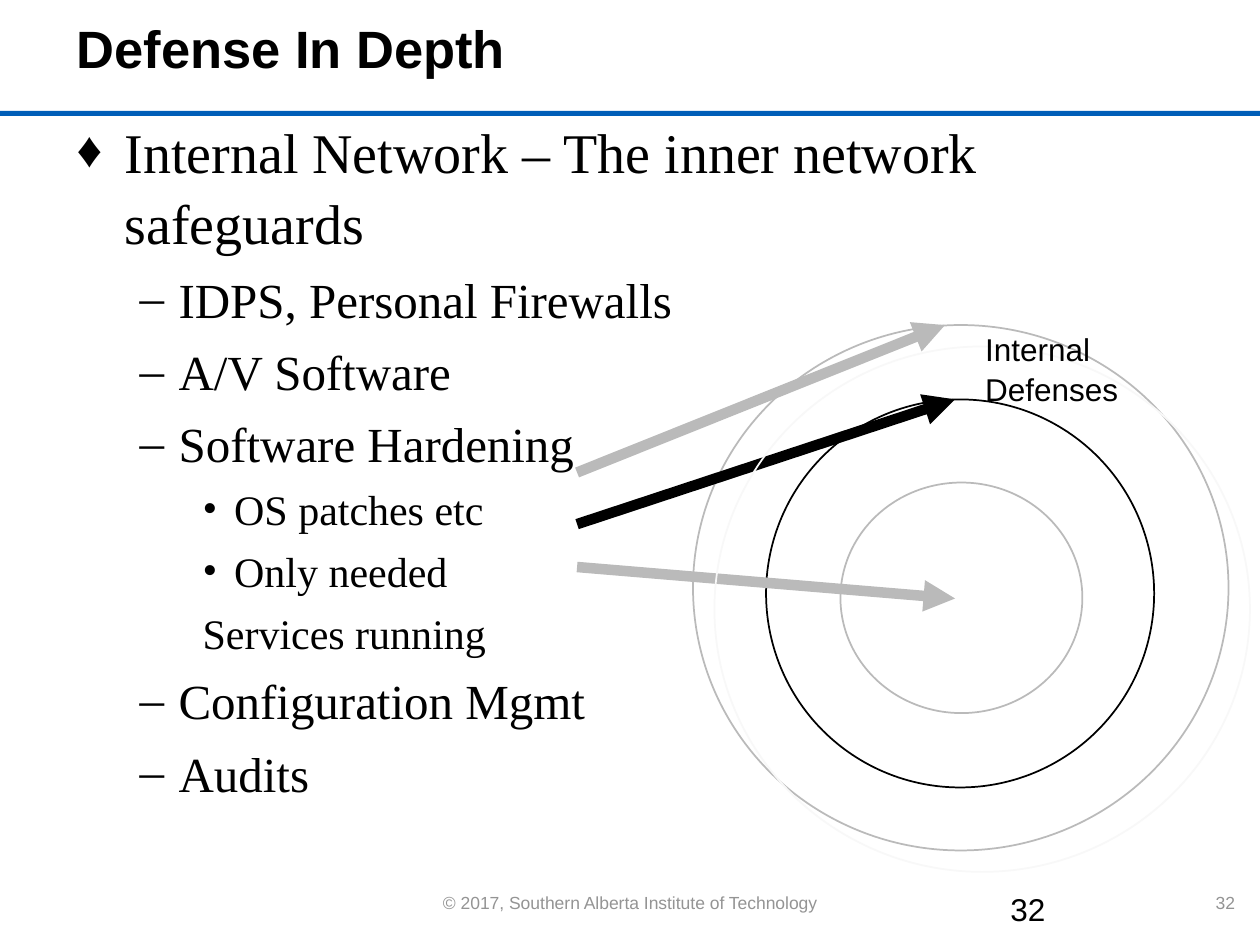
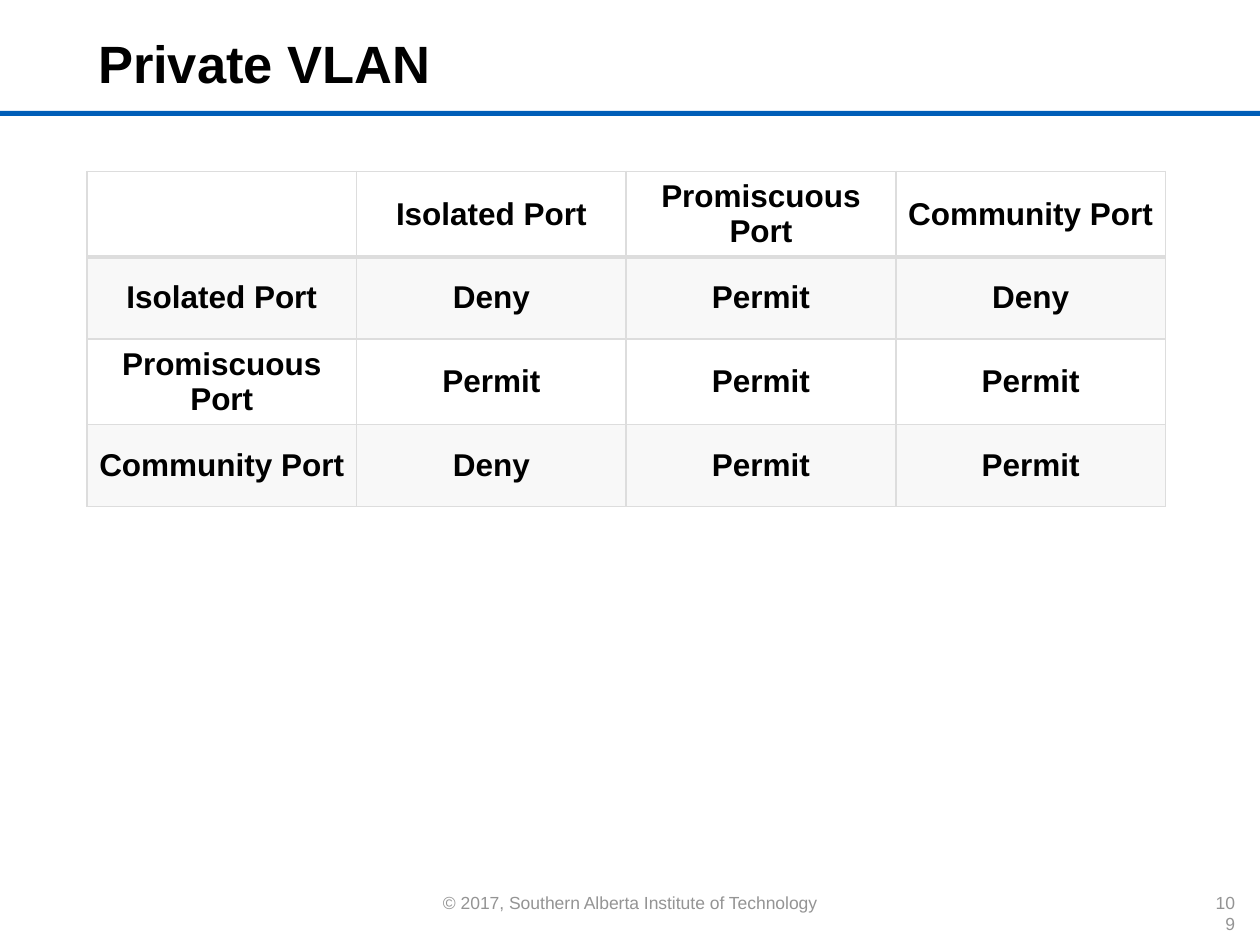
from dataclasses import dataclass

from lxml import etree
from pptx import Presentation
from pptx.dml.color import RGBColor
from pptx.enum import shapes, text
from pptx.oxml import ns
from pptx.util import Inches, Pt


@dataclass(frozen=True)
class Theme:
    sans: str = "Arial"
    serif: str = "Times New Roman"
    ink: str = "000000"
    band: str = "005EB8"
    footer: str = "949494"
    muted: str = "BABABA"
    faint: str = "F8F8F8"
    grid: str = "DDDDDD"
    title_size: int = 30
    label_size: int = 18
    footer_size: int = 10
    line_spacing: float = 1.06


THEME = Theme()
COPYRIGHT = "© 2017, Southern Alberta Institute of Technology"


@dataclass(frozen=True)
class Level:
    size: int
    left: float
    hanging: float


LEVELS = [Level(32, 0.38, 0.38), Level(28, 0.81, 0.31), Level(24, 1.25, 0.25)]

# Level, bullet character, text
SAFEGUARDS = [
    (0, "♦", "Internal Network – The inner network safeguards"),
    (1, "–", "IDPS, Personal Firewalls"),
    (1, "–", "A/V Software"),
    (1, "–", "Software Hardening"),
    (2, "•", "OS patches etc"),
    (2, "•", "Only needed"),
    (2, None, "Services running"),
    (1, "–", "Configuration Mgmt"),
    (1, "–", "Audits"),
]

PORT_RULES = [
    ["", "Isolated Port", "Promiscuous Port", "Community Port"],
    ["Isolated Port", "Deny", "Permit", "Deny"],
    ["Promiscuous Port", "Permit", "Permit", "Permit"],
    ["Community Port", "Deny", "Permit", "Permit"],
]


def rgb(color):
    return RGBColor.from_string(color)


def sub(parent, tag, **attributes):
    return etree.SubElement(parent, ns.qn(tag), attributes)


def style(paragraph, size, color=THEME.ink, font=THEME.sans, bold=False):
    for span in paragraph.runs:
        span.font.name = font
        span.font.size = Pt(size)
        span.font.bold = bold
        span.font.color.rgb = rgb(color)


# Text elements
def add_text(page, area, content, size, color=THEME.ink, bold=False,
             align=text.PP_ALIGN.LEFT, wrap=True, spacing=THEME.line_spacing):
    box = page.shapes.add_textbox(*map(Inches, area))
    box.text_frame.word_wrap = wrap
    box.text_frame.text = content
    for paragraph in box.text_frame.paragraphs:
        paragraph.alignment = align
        paragraph.line_spacing = spacing
        style(paragraph, size, color, bold=bold)


def add_title(page, area, content):
    add_text(page, area, content, THEME.title_size, bold=True)


def add_outline(page, area, items):
    box = page.shapes.add_textbox(*map(Inches, area))
    frame = box.text_frame
    frame.word_wrap = True
    frame.text = "\n".join(content for _, _, content in items)
    for index, (paragraph, item) in enumerate(zip(frame.paragraphs, items)):
        depth, bullet, _ = item
        level = LEVELS[depth]
        paragraph.level = depth
        paragraph.line_spacing = THEME.line_spacing
        paragraph.space_before = Pt(level.size * 0.2 if index else 0)
        properties = paragraph._p.get_or_add_pPr()
        properties.set("marL", str(Inches(level.left)))
        properties.set("indent", str(-Inches(level.hanging)))
        if bullet:
            if depth == 0:
                sub(properties, "a:buSzPct", val="90000")
            sub(properties, "a:buFont", typeface=THEME.serif)
            sub(properties, "a:buChar", char=bullet)
        else:
            sub(properties, "a:buNone")
        style(paragraph, level.size, font=THEME.serif)


# Drawing elements
def add_ring(page, area, color):
    ring = page.shapes.add_shape(shapes.MSO_SHAPE.OVAL, *map(Inches, area))
    ring.shadow.inherit = False
    ring.fill.background()
    ring.line.color.rgb = rgb(color)
    ring.line.width = Pt(1)


def add_arrow(page, start, end, color):
    arrow = page.shapes.add_connector(
        shapes.MSO_CONNECTOR.STRAIGHT, *map(Inches, start + end))
    arrow.line.color.rgb = rgb(color)
    arrow.line.width = Pt(6)
    sub(arrow.line._get_or_add_ln(), "a:tailEnd", type="triangle")
    sub(arrow._element.spPr, "a:effectLst")


# Table elements
def set_borders(cell, widths):
    properties = cell._tc.get_or_add_tcPr()
    for side, width in widths.items():
        line = sub(properties, f"a:ln{side}", w=str(Pt(width)))
        sub(sub(line, "a:solidFill"), "a:srgbClr", val=THEME.grid)


def add_port_table(page, left, top, column_width, row_height, rows):
    columns = len(rows[0])
    table = page.shapes.add_table(
        len(rows), columns, Inches(left), Inches(top),
        Inches(column_width * columns), Inches(row_height * len(rows))).table
    table.horz_banding = False
    for column in table.columns:
        column.width = Inches(column_width)
    for row_index, values in enumerate(rows):
        table.rows[row_index].height = Inches(row_height)
        for column_index, value in enumerate(values):
            cell = table.cell(row_index, column_index)
            cell.text = value
            cell.vertical_anchor = text.MSO_ANCHOR.MIDDLE
            cell.margin_left = cell.margin_right = Inches(0.07)
            cell.margin_top = cell.margin_bottom = Inches(0.04)
            set_borders(cell, {"L": 1, "R": 1,
                               "T": 2 if row_index == 1 else 1,
                               "B": 2 if row_index == 0 else 1})
            if row_index % 2:
                cell.fill.solid()
                cell.fill.fore_color.rgb = rgb(THEME.faint)
            else:
                cell.fill.background()
            paragraph = cell.text_frame.paragraphs[0]
            paragraph.alignment = text.PP_ALIGN.CENTER
            style(paragraph, THEME.label_size, bold=True)


# Shared band and footer
def add_page(deck, number):
    page = deck.slides.add_slide(deck.slide_layouts[6])
    band = page.shapes.add_shape(
        shapes.MSO_SHAPE.RECTANGLE, 0, Inches(0.88), deck.slide_width, Inches(0.04))
    band.shadow.inherit = False
    band.fill.solid()
    band.fill.fore_color.rgb = rgb(THEME.band)
    band.line.fill.background()
    for area, content, align in [
        ((3.32, 7.03, 3.36, 0.27), COPYRIGHT, text.PP_ALIGN.CENTER),
        ((9.5, 7.03, 0.4, 0.27), number, text.PP_ALIGN.RIGHT),
    ]:
        add_text(page, area, content, THEME.footer_size, THEME.footer,
                 align=align, spacing=1.0)
    return page


def build_defense(deck):
    page = add_page(deck, "32")
    add_outline(page, (0.51, 0.85, 8.5, 5.81), SAFEGUARDS)
    add_text(page, (7.92, 7, 2.08, 0.5), "32", THEME.label_size)
    add_title(page, (0.51, 0.05, 8.81, 0.88), "Defense In Depth")

    # Defence rings, outermost first
    add_ring(page, (5.5, 2.58, 4.25, 4.17), THEME.muted)
    add_ring(page, (6.08, 3.17, 3.08, 3.08), THEME.ink)
    add_ring(page, (6.67, 3.83, 1.92, 1.83), THEME.muted)

    # Arrows from the list to the rings
    add_arrow(page, (4.58, 4.5), (7.58, 4.75), THEME.muted)
    add_arrow(page, (4.58, 4.16), (7.58, 3.17), THEME.ink)
    add_arrow(page, (4.58, 3.75), (7.5, 2.58), THEME.muted)

    add_ring(page, (5.67, 2.75, 4.25, 4.17), THEME.faint)
    add_text(page, (7.72, 2.55, 1.27, 0.71), "Internal\nDefenses",
             THEME.label_size, wrap=False)


def build_private_vlan(deck):
    page = add_page(deck, "109")
    add_title(page, (0.68, 0.17, 7.32, 0.69), "Private VLAN")
    add_port_table(page, 0.69, 1.36, 2.14, 0.65, PORT_RULES)


def main():
    deck = Presentation()
    deck.slide_width, deck.slide_height = Inches(10), Inches(7.5)
    build_defense(deck)
    build_private_vlan(deck)
    deck.save("out.pptx")


if __name__ == "__main__":
    main()
